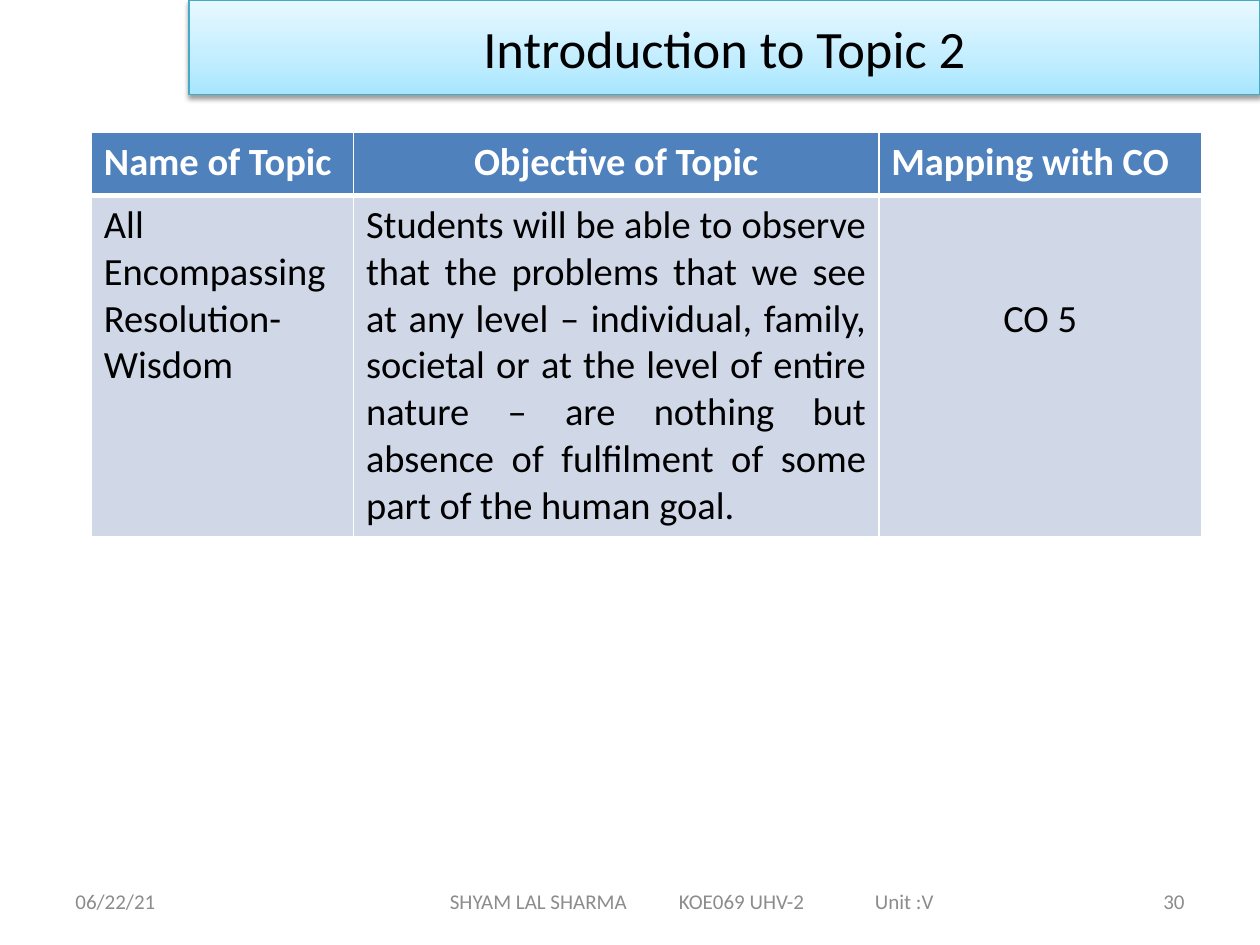
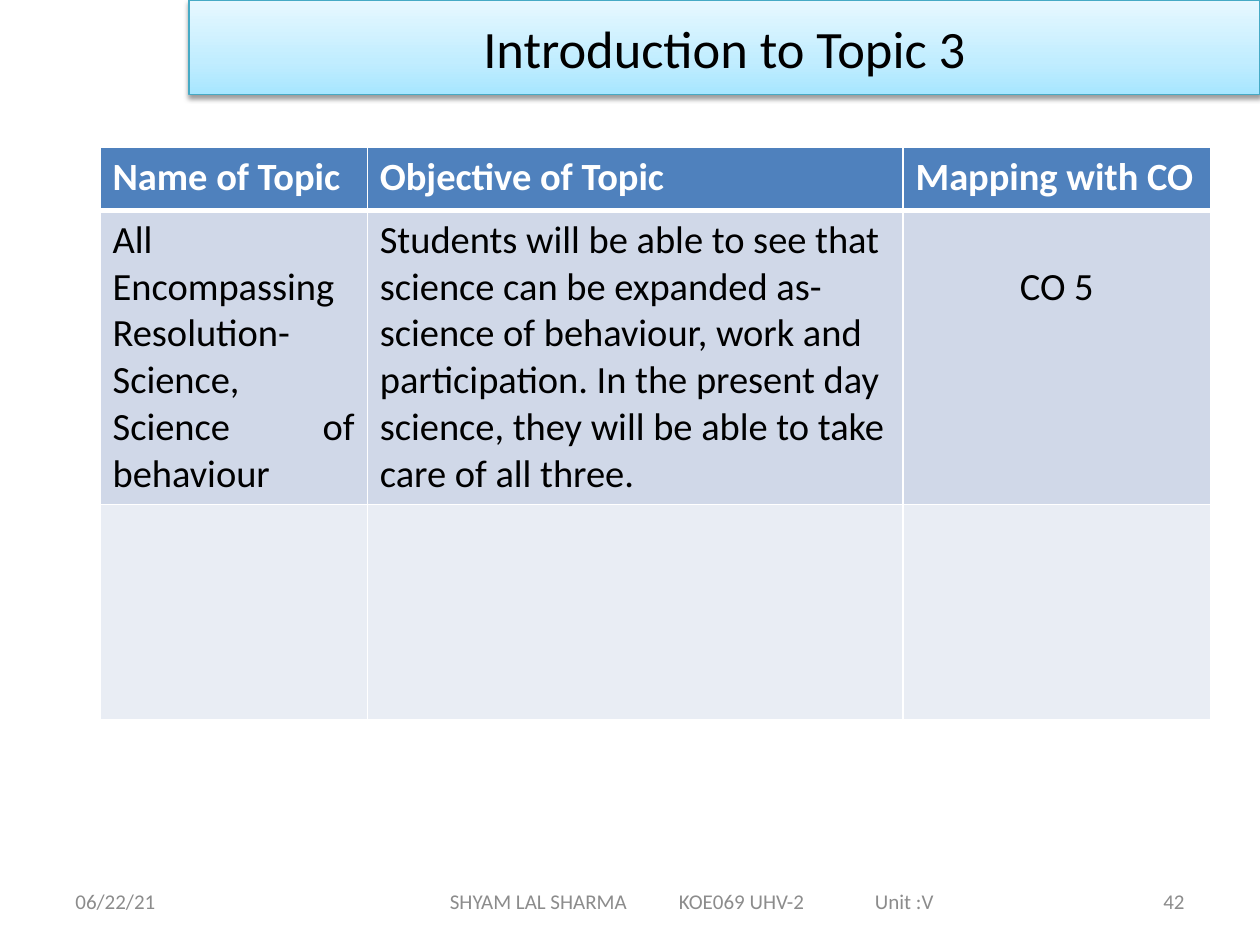
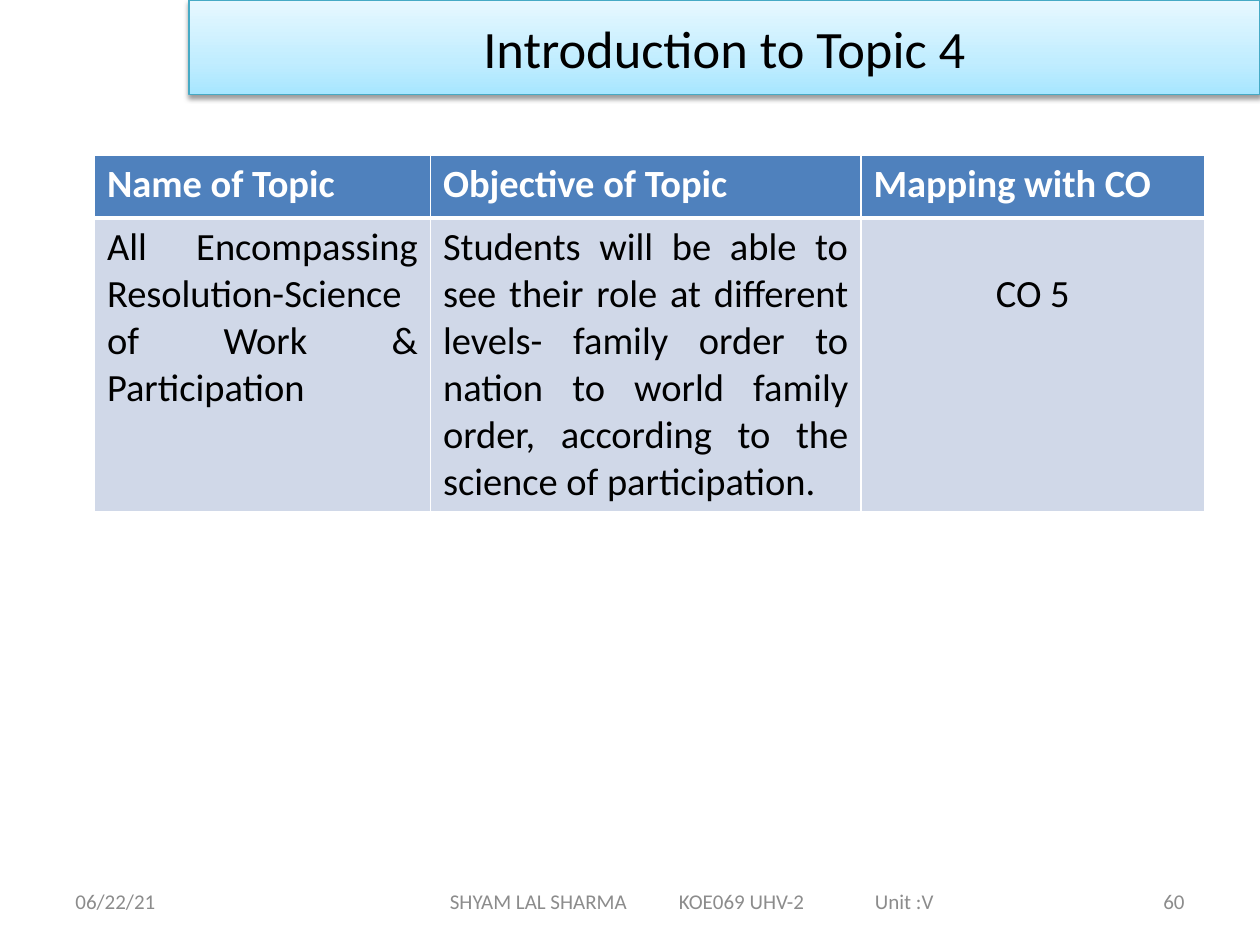
from dataclasses import dataclass

from pptx import Presentation
from pptx import util as u
from pptx.dml.color import RGBColor
from pptx.enum import text
from pptx.oxml import parse_xml
from pptx.oxml.ns import nsdecls

COLORS = {
    "ink": "000000",
    "white": "FFFFFF",
    "footer": "8C8C8C",
    "header": "4F81BD",
    "band_odd": "D0D8E8",
    "band_even": "E9EDF4",
    "title_line": "46AAC5",
}
TITLE_STOPS = ((0, "A7E6FF"), (35, "C1EDFF"), (100, "E7F8FF"))
FONT = "Calibri"
TABLE_SIZE = 22
LINE_HEIGHT = 26.8
CELL_MARGIN = 3.6
HEADER_HEIGHT = 36
SPARE_ROW_HEIGHT = 123
FOOTER_TOP, FOOTER_HEIGHT = 500.5, 28.75
COURSE_TABS = (130.9, 242.9)
LEFT, CENTER, RIGHT, JUSTIFY = (
    text.PP_ALIGN.LEFT, text.PP_ALIGN.CENTER, text.PP_ALIGN.RIGHT, text.PP_ALIGN.JUSTIFY)
HEADINGS = ("Name of Topic", "Objective of Topic", "Mapping with CO")


@dataclass(frozen=True)
class Topic:
    number: int
    page: str
    left: float
    top: float
    widths: tuple[float, ...]
    name: str
    objective: str
    lines: int
    outcome_line: int
    heading_align: text.PP_ALIGN = LEFT
    objective_align: text.PP_ALIGN = JUSTIFY
    spare_rows: int = 0


@dataclass(frozen=True)
class Footer:
    label: str
    left: float
    width: float
    align: text.PP_ALIGN
    inset: float = 7.2
    tabs: tuple[float, ...] = ()


TOPICS = (
    Topic(2, "30", 52.2, 75.8, (149.8, 300.2, 184.4),
          "All Encompassing Resolution-Wisdom",
          "Students will be able to observe that the problems that we see at any level – "
          "individual, family, societal or at the level of entire nature – are nothing but "
          "absence of fulfilment of some part of the human goal.",
          lines=7, outcome_line=2, heading_align=CENTER),
    Topic(3, "42", 57.2, 84.2, (152.7, 306.2, 175.6),
          "All Encompassing Resolution-Science, Science of behaviour",
          "Students will be able to see that science can be expanded as- science of behaviour, "
          "work and participation. In the present day science, they will be able to take care "
          "of all three.",
          lines=6, outcome_line=1, objective_align=LEFT, spare_rows=1),
    Topic(4, "60", 54, 88.6, (192, 246, 196.4),
          "All Encompassing Resolution-Science of Work & Participation",
          "Students will be able to see their role at different levels- family order to nation "
          "to world family order, according to the science of participation.",
          lines=6, outcome_line=1),
)


def format_text(para, size: float, color: str, align: text.PP_ALIGN, bold: bool = False) -> None:
    para.alignment = align
    for span in para.runs:
        span.font.name = FONT
        span.font.size = u.Pt(size)
        span.font.bold = bold
        span.font.color.rgb = RGBColor.from_string(COLORS[color])


def add_title(page, title: str) -> None:
    box = page.shapes.title
    box.left, box.top, box.width, box.height = (u.Pt(n) for n in (108, 0, 612, 54))
    box.text_frame.text = title
    box.text_frame.vertical_anchor = text.MSO_ANCHOR.MIDDLE
    format_text(box.text_frame.paragraphs[0], 30, "ink", CENTER)
    stops = "".join(f'<a:gs pos="{place * 1000}"><a:srgbClr val="{color}"/></a:gs>'
                    for place, color in TITLE_STOPS)
    properties = box.fill._xPr
    properties.append(parse_xml(
        f'<a:prstGeom {nsdecls("a")} prst="rect"><a:avLst/></a:prstGeom>'))
    properties.append(parse_xml(
        f'<a:gradFill {nsdecls("a")} rotWithShape="1"><a:gsLst>{stops}</a:gsLst>'
        '<a:lin ang="16200000" scaled="0"/></a:gradFill>'))
    box.line.color.rgb = RGBColor.from_string(COLORS["title_line"])
    box.line.width = u.Pt(0.75)
    properties.append(parse_xml(
        f'<a:effectLst {nsdecls("a")}><a:outerShdw blurRad="{u.Pt(3.1)}" dist="{u.Pt(1.6)}" '
        f'dir="5400000" rotWithShape="0"><a:srgbClr val="{COLORS["ink"]}">'
        '<a:alpha val="38000"/></a:srgbClr></a:outerShdw></a:effectLst>'))


def add_footer(page, footer: Footer) -> None:
    box = page.shapes.add_textbox(
        *(u.Pt(n) for n in (footer.left, FOOTER_TOP, footer.width, FOOTER_HEIGHT)))
    frame = box.text_frame
    frame.word_wrap = True
    frame.vertical_anchor = text.MSO_ANCHOR.MIDDLE
    frame.margin_left = u.Pt(footer.inset)
    frame.text = footer.label
    para = frame.paragraphs[0]
    if footer.tabs:
        stops = "".join(f'<a:tab pos="{u.Pt(stop)}" algn="l"/>' for stop in footer.tabs)
        para._p.get_or_add_pPr().append(
            parse_xml(f'<a:tabLst {nsdecls("a")}>{stops}</a:tabLst>'))
    format_text(para, 12, "footer", footer.align)


def style_cell(cell, fill: str, bottom: float = 1) -> None:
    cell.fill.solid()
    cell.fill.fore_color.rgb = RGBColor.from_string(COLORS[fill])
    properties = cell._tc.get_or_add_tcPr()
    for index, (side, width) in enumerate((("L", 1), ("R", 1), ("T", 1), ("B", bottom))):
        properties.insert(index, parse_xml(
            f'<a:ln{side} {nsdecls("a")} w="{u.Pt(width)}"><a:solidFill>'
            f'<a:srgbClr val="{COLORS["white"]}"/></a:solidFill></a:ln{side}>'))


def add_topic_table(page, topic: Topic) -> None:
    heights = [HEADER_HEIGHT, topic.lines * LINE_HEIGHT + 2 * CELL_MARGIN]
    heights += [SPARE_ROW_HEIGHT] * topic.spare_rows
    frame = page.shapes.add_table(
        len(heights), len(topic.widths), u.Pt(topic.left), u.Pt(topic.top),
        u.Pt(sum(topic.widths)), u.Pt(sum(heights)))
    table = frame.table
    for column, width in zip(table.columns, topic.widths):
        column.width = u.Pt(width)
    for row, height in zip(table.rows, heights):
        row.height = u.Pt(height)

    heading_aligns = (LEFT, topic.heading_align, LEFT)
    for cell, heading, align in zip(table.rows[0].cells, HEADINGS, heading_aligns):
        cell.text_frame.text = heading
        format_text(cell.text_frame.paragraphs[0], TABLE_SIZE, "white", align, bold=True)
        style_cell(cell, "header", bottom=3)

    entries = ((topic.name, JUSTIFY), (topic.objective, topic.objective_align), ("CO 5", CENTER))
    for cell, (entry, align) in zip(table.rows[1].cells, entries):
        cell.text_frame.text = entry
        format_text(cell.text_frame.paragraphs[0], TABLE_SIZE, "ink", align)
        style_cell(cell, "band_odd")
    table.cell(1, 2).margin_top = u.Pt(CELL_MARGIN + topic.outcome_line * LINE_HEIGHT)

    for index in range(2, len(heights)):
        for cell in table.rows[index].cells:
            style_cell(cell, "band_even")


def add_topic_page(deck, topic: Topic) -> None:
    page = deck.slides.add_slide(deck.slide_layouts[5])
    footers = (
        Footer("06/22/21", 36, 168, LEFT),
        Footer("SHYAM LAL SHARMA\tKOE069 UHV-2\tUnit :V", 198, 396, LEFT, 59.1, COURSE_TABS),
        Footer(topic.page, 516, 168, RIGHT),
    )
    for footer in footers:
        add_footer(page, footer)
    add_title(page, f"Introduction to Topic {topic.number}")
    add_topic_table(page, topic)


def main() -> None:
    deck = Presentation()
    deck.slide_width, deck.slide_height = u.Pt(720), u.Pt(540)
    for topic in TOPICS:
        add_topic_page(deck, topic)
    deck.save("out.pptx")


if __name__ == "__main__":
    main()
